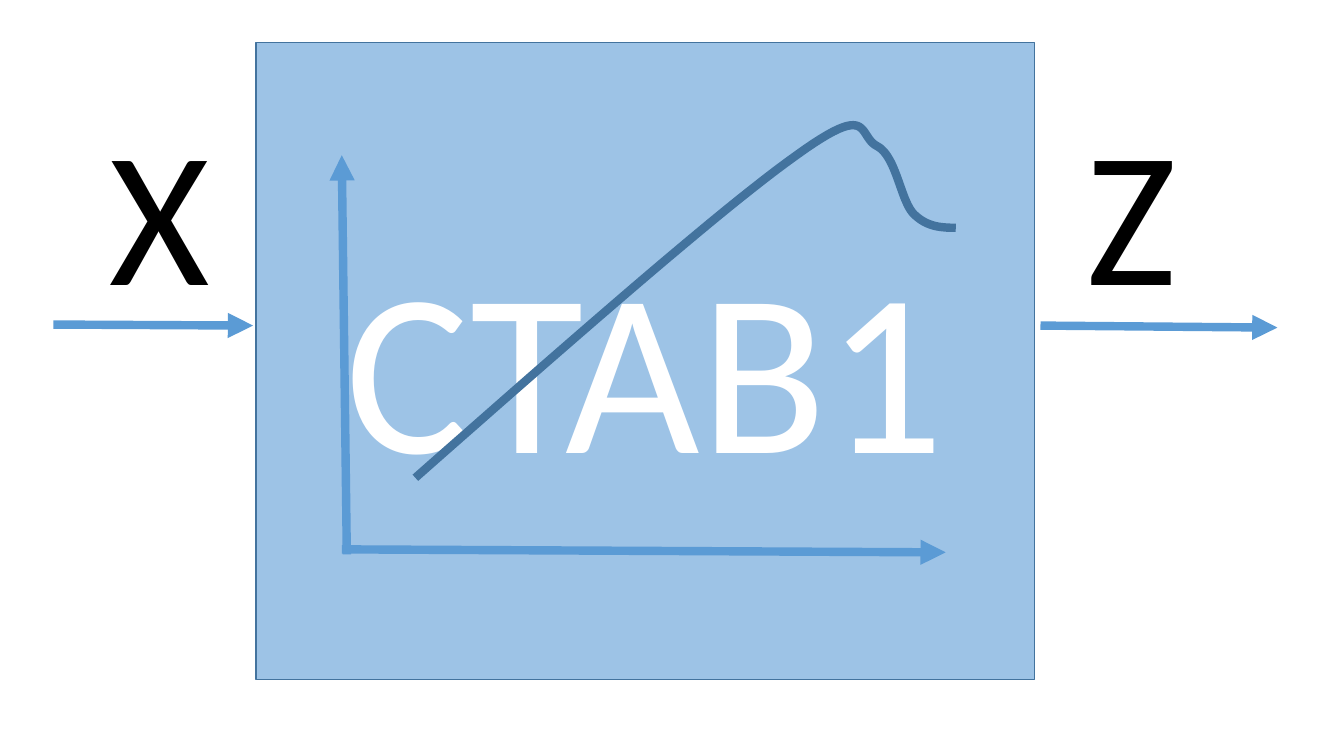
from lxml import etree
from pptx import Presentation
from pptx.dml.color import RGBColor
from pptx.enum import shapes, text
from pptx.oxml import ns
from pptx.util import Inches, Pt

BLUE, DARK_BLUE, PALE_BLUE = "5B9BD5", "43739E", "9DC3E6"
BLACK, WHITE = "000000", "FFFFFF"


def color(value):
    return RGBColor.from_string(value)


def write(shape, content, size, fill=BLACK, font="Calibri",
          align=text.PP_ALIGN.LEFT, anchor=text.MSO_ANCHOR.TOP,
          fit=text.MSO_AUTO_SIZE.NONE):
    frame = shape.text_frame
    frame.word_wrap = True
    frame.auto_size = fit
    frame.vertical_anchor = anchor
    paragraph = frame.paragraphs[0]
    paragraph.alignment = align
    run = paragraph.add_run()
    run.text = content
    run.font.size = Pt(size)
    run.font.name = font
    run.font.color.rgb = color(fill)


def bezier(start, first, second, end, steps=24):
    points = []
    for step in range(1, steps + 1):
        t = step / steps
        s = 1 - t
        weights = s ** 3, 3 * s * s * t, 3 * s * t * t, t ** 3
        points.append(tuple(
            sum(weight * value for weight, value in zip(weights, axis))
            for axis in zip(start, first, second, end)))
    return points


class Diagram:
    """Draw the elements of a block diagram on one slide in a shared style."""

    def __init__(self, slide, stroke=6):
        self.slide = slide
        self.stroke = stroke

    def outline(self, shape, line, width):
        shape.line.color.rgb = color(line)
        shape.line.width = Pt(width)

    def label(self, content, left, top, width, height):
        box = self.slide.shapes.add_textbox(*map(Inches, (left, top, width, height)))
        write(box, content, 138, fit=text.MSO_AUTO_SIZE.SHAPE_TO_FIT_TEXT)

    def block(self, content, left, top, width, height):
        shape = self.slide.shapes.add_shape(
            shapes.MSO_SHAPE.RECTANGLE, *map(Inches, (left, top, width, height)))
        shape.shadow.inherit = False
        shape.fill.solid()
        shape.fill.fore_color.rgb = color(PALE_BLUE)
        self.outline(shape, DARK_BLUE, 1)
        write(shape, content, 166, fill=WHITE, align=text.PP_ALIGN.CENTER,
              anchor=text.MSO_ANCHOR.MIDDLE)

    def arrow(self, start, end):
        connector = self.slide.shapes.add_connector(
            shapes.MSO_CONNECTOR.STRAIGHT, *map(Inches, start + end))
        self.outline(connector, BLUE, self.stroke)
        line = connector.line._get_or_add_ln()
        etree.SubElement(line, ns.qn("a:tailEnd"), type="triangle")
        etree.SubElement(connector._element.spPr, ns.qn("a:effectLst"))
        return connector

    def curve(self, start, segments):
        points = [start]
        for segment in segments:
            points += bezier(points[-1], *segment)
        vertices = [tuple(map(Inches, point)) for point in points]
        builder = self.slide.shapes.build_freeform(*vertices[0])
        builder.add_line_segments(vertices[1:], close=False)
        shape = builder.convert_to_shape()
        shape.shadow.inherit = False
        shape.fill.background()
        self.outline(shape, DARK_BLUE, self.stroke)


def main():
    presentation = Presentation()
    presentation.slide_width = Inches(13.33)
    presentation.slide_height = Inches(7.5)
    slide = presentation.slides.add_slide(presentation.slide_layouts[6])
    diagram = Diagram(slide)

    diagram.label("X", 0.99, 0.87, 1.71, 2.42)
    diagram.block("CTAB1", 2.54, 0.42, 7.72, 6.32)
    diagram.arrow((0.53, 3.22), (2.51, 3.23))
    diagram.arrow((10.32, 3.23), (12.67, 3.25))
    axes = [diagram.arrow((3.39, 5.45), (9.38, 5.48)),
            diagram.arrow((3.44, 5.5), (3.39, 1.54))]
    slide.shapes.add_group_shape(axes)
    diagram.curve((4.12, 4.74), [
        ((5.63, 3.41), (7.14, 2.08), (7.9, 1.54)),
        ((8.66, 0.99), (8.5, 1.35), (8.7, 1.45)),
        ((8.89, 1.55), (8.93, 1.98), (9.06, 2.12)),
        ((9.19, 2.25), (9.33, 2.26), (9.48, 2.26)),
    ])
    diagram.label("Z", 10.68, 0.87, 1.71, 2.42)
    presentation.save("out.pptx")


main()
